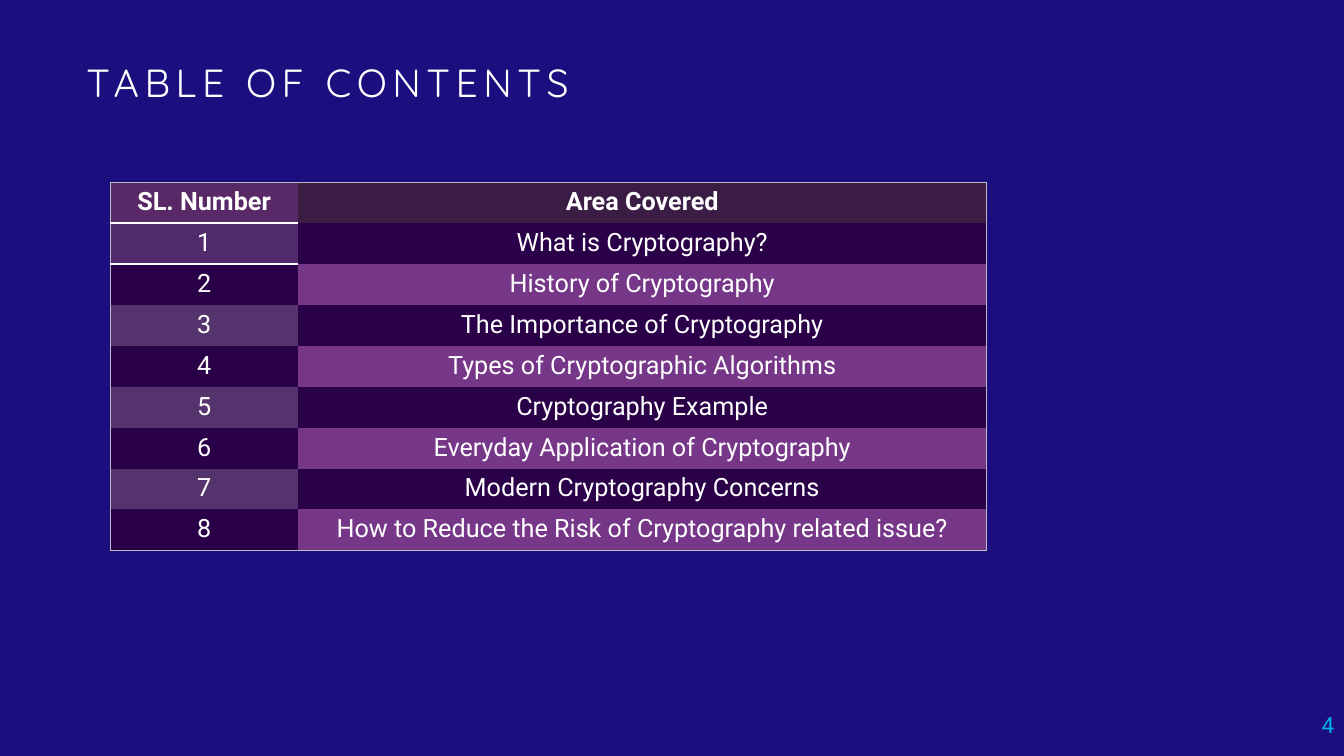
from dataclasses import dataclass

from lxml.etree import SubElement
from pptx import Presentation
from pptx.dml.color import RGBColor as RGB
from pptx.enum.text import MSO_ANCHOR as Anchor, PP_ALIGN as Align
from pptx.oxml.ns import qn
from pptx.util import Pt

NO_STYLE_NO_GRID = "{2D5ABB26-0587-4C30-8999-92F81FD0307C}"

HEADINGS = ("SL. Number", "Area Covered")
TOPICS = (
    "What is Cryptography?",
    "History of Cryptography",
    "The Importance of Cryptography",
    "Types of Cryptographic Algorithms",
    "Cryptography Example",
    "Everyday Application of Cryptography",
    "Modern Cryptography Concerns",
    "How to Reduce the Risk of Cryptography related issue?",
)


@dataclass(frozen=True)
class Theme:
    background: str = "1C0E7E"
    text: str = "FFFFFF"
    accent: str = "00B0F0"
    frame: str = "BEBDC1"
    header_fills: tuple = ("582966", "3B1C44")
    dark: str = "2A0048"
    first_number: str = "512B6C"
    odd_number: str = "55336D"
    even_topic: str = "763788"
    title_font: str = "Quicksand"
    body_font: str = "Roboto"
    title_size: float = 28
    table_size: float = 18
    number_size: float = 16
    title_spacing: float = 4
    frame_width: float = 0.5
    rule_width: float = 1.5


THEME = Theme()


def write(frame, text, color, align=Align.LEFT, **font_values):
    paragraph = frame.paragraphs[0]
    paragraph.alignment = align
    run = paragraph.add_run()
    run.text = text
    for name, value in font_values.items():
        setattr(run.font, name, value)
    run.font.color.rgb = RGB.from_string(color)
    return run


def add_text_frame(slide, box, anchor):
    frame = slide.shapes.add_textbox(*map(Pt, box)).text_frame
    frame.word_wrap = True
    frame.vertical_anchor = anchor
    return frame


def add_title(slide, box, text):
    frame = add_text_frame(slide, box, Anchor.TOP)
    run = write(frame, text, THEME.text, name=THEME.title_font, size=Pt(THEME.title_size))
    run.font._element.set("spc", str(int(THEME.title_spacing * 100)))
    frame.paragraphs[0].line_spacing = 0.9


def add_page_number(slide, box, number):
    frame = add_text_frame(slide, box, Anchor.MIDDLE)
    write(frame, str(number), THEME.accent, Align.RIGHT,
          name=THEME.body_font, size=Pt(THEME.number_size))


def cell_fill(row, column):
    if row == 0:
        return THEME.header_fills[column]
    if column == 1:
        return THEME.dark if row % 2 else THEME.even_topic
    if row == 1:
        return THEME.first_number
    return THEME.odd_number if row % 2 else THEME.dark


def cell_borders(row, column, last_row):
    """Return the (color, width) of each edge that shows, keyed by side."""
    frame = (THEME.frame, THEME.frame_width)
    rule = (THEME.text, THEME.rule_width)
    borders = {"R" if column else "L": frame}
    if row == 0:
        borders["T"] = frame
    if row == last_row:
        borders["B"] = frame
    if column == 0 and row < 2:
        borders["T" if row else "B"] = rule
    return borders


def draw_borders(cell, borders):
    properties = cell._tc.get_or_add_tcPr()
    sides = [side for side in "LRTB" if side in borders]
    for index, side in enumerate(sides):
        color, width = borders[side]
        line = SubElement(properties, qn(f"a:ln{side}"), w=str(Pt(width)))
        SubElement(SubElement(line, qn("a:solidFill")), qn("a:srgbClr"), val=color)
        properties.insert(index, line)


def add_contents_table(slide, box, number_width):
    rows = [HEADINGS, *((str(number), topic) for number, topic in enumerate(TOPICS, 1))]
    left, top, width, height = box
    table = slide.shapes.add_table(len(rows), 2, *map(Pt, box)).table
    table.horz_banding = False
    table._tbl.tblPr.find(qn("a:tableStyleId")).text = NO_STYLE_NO_GRID
    for column, column_width in zip(table.columns, (number_width, width - number_width)):
        column.width = Pt(column_width)
    for row_index, texts in enumerate(rows):
        table.rows[row_index].height = Pt(height / len(rows))
        for column_index, text in enumerate(texts):
            cell = table.cell(row_index, column_index)
            cell.fill.solid()
            cell.fill.fore_color.rgb = RGB.from_string(cell_fill(row_index, column_index))
            draw_borders(cell, cell_borders(row_index, column_index, len(rows) - 1))
            write(cell.text_frame, text, THEME.text, Align.CENTER, name=THEME.body_font,
                  size=Pt(THEME.table_size), bold=row_index == 0)


def main():
    presentation = Presentation()
    presentation.slide_width, presentation.slide_height = Pt(960), Pt(540)
    slide = presentation.slides.add_slide(presentation.slide_layouts[6])
    slide.background.fill.solid()
    slide.background.fill.fore_color.rgb = RGB.from_string(THEME.background)
    add_title(slide, (54.7, 41.8, 545, 54), "TABLE OF CONTENTS")
    add_page_number(slide, (917, 494.6, 43, 45.4), 4)
    add_contents_table(slide, (78.5, 130.3, 626, 262.8), number_width=134.6)
    presentation.save("out.pptx")


if __name__ == "__main__":
    main()
